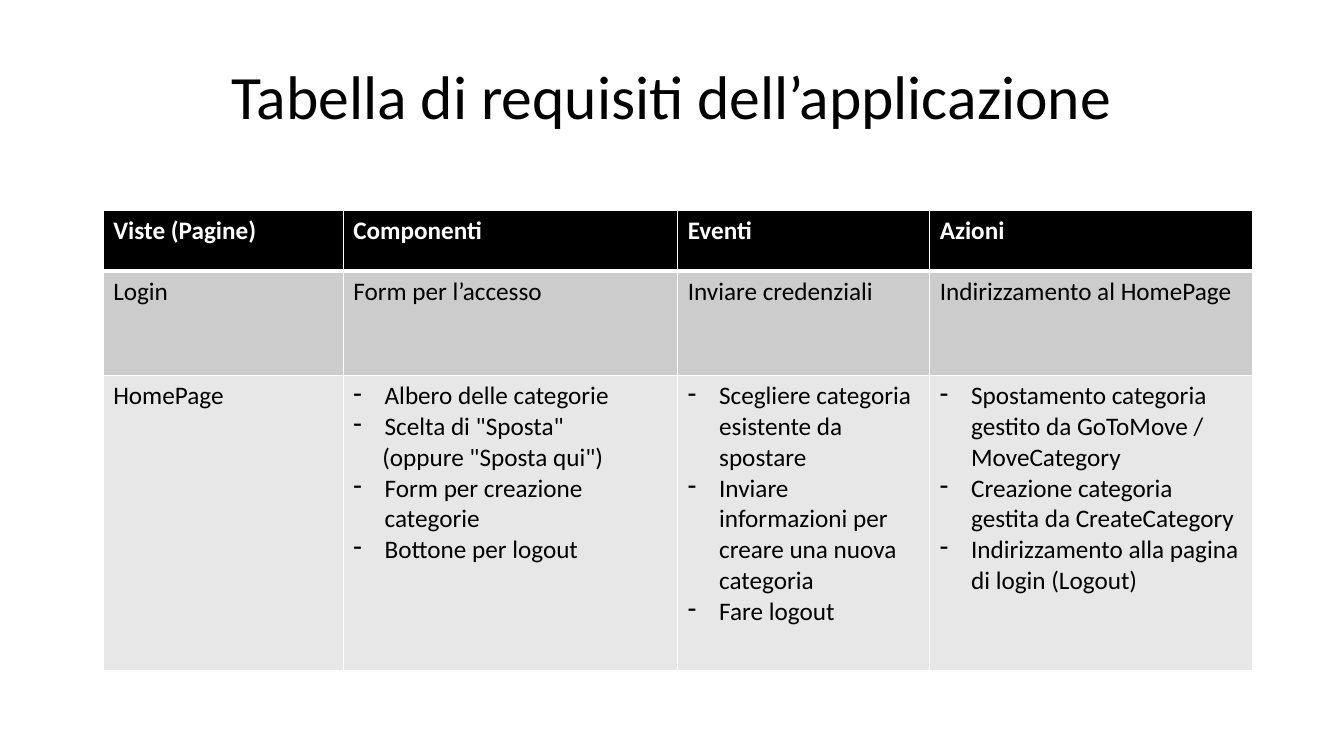
from dataclasses import dataclass

from lxml.etree import SubElement
from pptx import Presentation
from pptx.dml.color import RGBColor
from pptx.enum.text import MSO_ANCHOR, PP_ALIGN
from pptx.oxml.ns import qn
from pptx.util import Cm, Pt

BLACK = RGBColor(0x00, 0x00, 0x00)
WHITE = RGBColor(0xFF, 0xFF, 0xFF)
MID_GREY = RGBColor(0xCC, 0xCC, 0xCC)
LIGHT_GREY = RGBColor(0xE7, 0xE7, 0xE7)

FONT = "Calibri"
BULLET_INDENT = Cm(0.79)
CONTINUATION_INDENT = Cm(0.73)
THIN, THICK = Pt(1), Pt(3)
COLUMN_WIDTHS = (6.05, 8.43, 6.35, 8.13)


@dataclass(frozen=True)
class Line:
    text: str
    bullet: bool = False
    indent: int = 0


@dataclass(frozen=True)
class Row:
    height: float
    fill: RGBColor
    cells: list[list[Line]]
    color: RGBColor = BLACK
    bold: bool = False
    top: int = THIN
    bottom: int = THIN


def plain(*texts: str) -> list[list[Line]]:
    """One single-line cell per text."""
    return [[Line(text)] for text in texts]


def bullets(*texts: str) -> list[Line]:
    return [Line(text, True, BULLET_INDENT) for text in texts]


ROWS = [
    Row(1.52, BLACK, plain("Viste (Pagine)", "Componenti", "Eventi", "Azioni"),
        color=WHITE, bold=True, bottom=THICK),
    Row(2.64, MID_GREY, plain("Login", "Form per l’accesso", "Inviare credenziali",
                              "Indirizzamento al HomePage"), top=THICK),
    Row(7.42, LIGHT_GREY, [
        [Line("HomePage")],
        [*bullets("Albero delle categorie", 'Scelta di "Sposta"'),
         Line('(oppure "Sposta qui")', indent=CONTINUATION_INDENT),
         *bullets("Form per creazione categorie", "Bottone per logout")],
        bullets("Scegliere categoria esistente da spostare",
                "Inviare informazioni per creare una nuova categoria",
                "Fare logout"),
        bullets("Spostamento categoria gestito da GoToMove / MoveCategory",
                "Creazione categoria gestita da CreateCategory",
                "Indirizzamento alla pagina di login (Logout)"),
    ]),
]


def style_runs(paragraph, size: float, color: RGBColor, bold: bool = False) -> None:
    for run in paragraph.runs:
        run.font.name = FONT
        run.font.size = Pt(size)
        run.font.bold = bold
        run.font.color.rgb = color


def indent_line(paragraph, line: Line) -> None:
    properties = paragraph._p.get_or_add_pPr()
    properties.set("marL", str(line.indent))
    properties.set("indent", str(-line.indent if line.bullet else 0))
    if line.bullet:
        SubElement(properties, qn("a:buChar")).set("char", "-")


def add_borders(cell, top: int, bottom: int) -> None:
    """Draw white borders; the cell's fill must be set afterwards."""
    properties = cell._tc.get_or_add_tcPr()
    for side, width in (("L", THIN), ("R", THIN), ("T", top), ("B", bottom)):
        border = SubElement(properties, qn(f"a:ln{side}"))
        border.set("w", str(width))
        fill = SubElement(border, qn("a:solidFill"))
        SubElement(fill, qn("a:srgbClr")).set("val", str(WHITE))


def fill_cell(cell, row: Row, lines: list[Line]) -> None:
    add_borders(cell, row.top, row.bottom)
    cell.fill.solid()
    cell.fill.fore_color.rgb = row.fill
    cell.text_frame.text = "\n".join(line.text for line in lines)
    for paragraph, line in zip(cell.text_frame.paragraphs, lines):
        indent_line(paragraph, line)
        style_runs(paragraph, 18, row.color, row.bold)


def add_title(slide, text: str) -> None:
    frame = slide.shapes.add_textbox(Cm(2.33), Cm(1.14), Cm(29.21), Cm(2.72)).text_frame
    frame.word_wrap = True
    frame.vertical_anchor = MSO_ANCHOR.MIDDLE
    frame.text = text
    heading = frame.paragraphs[0]
    heading.alignment = PP_ALIGN.CENTER
    heading.line_spacing = 0.9
    style_runs(heading, 44, BLACK)


def add_requirements(slide) -> None:
    requirements = slide.shapes.add_table(
        len(ROWS), len(COLUMN_WIDTHS), Cm(2.6), Cm(5.31),
        Cm(sum(COLUMN_WIDTHS)), Cm(sum(row.height for row in ROWS))).table
    for column, width in zip(requirements.columns, COLUMN_WIDTHS):
        column.width = Cm(width)
    for table_row, row in zip(requirements.rows, ROWS):
        table_row.height = Cm(row.height)
        for cell, lines in zip(table_row.cells, row.cells):
            fill_cell(cell, row, lines)


def main() -> None:
    presentation = Presentation()
    presentation.slide_width = Cm(33.87)
    presentation.slide_height = Cm(19.05)
    slide = presentation.slides.add_slide(presentation.slide_layouts[6])
    add_title(slide, "Tabella di requisiti dell’applicazione")
    add_requirements(slide)
    presentation.save("out.pptx")


if __name__ == "__main__":
    main()
